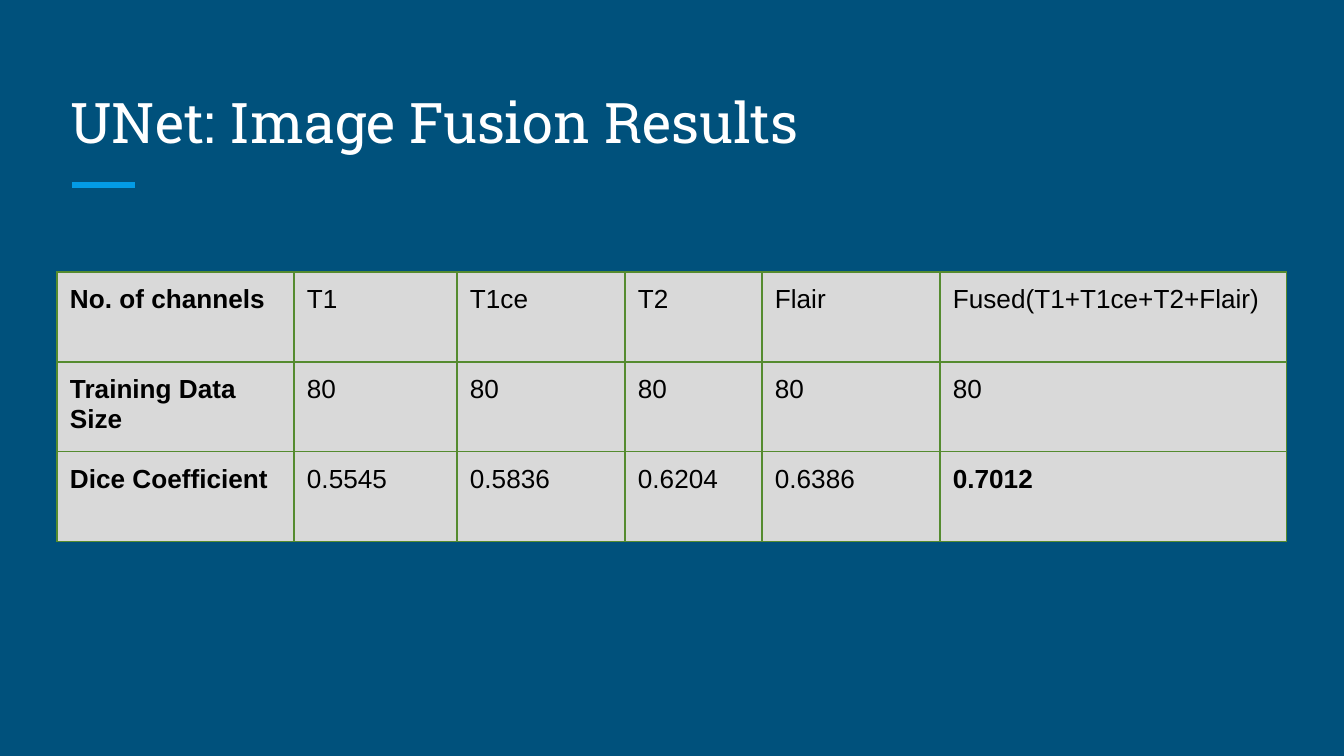
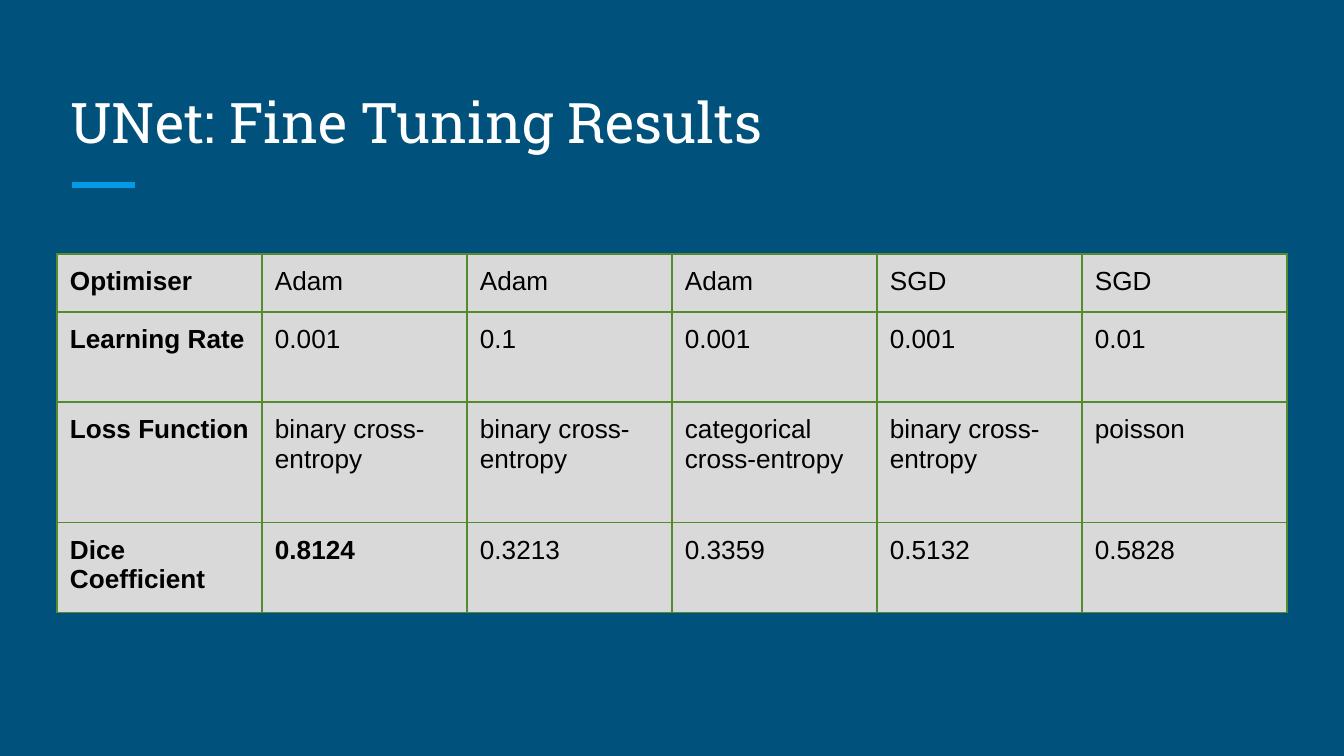
from dataclasses import dataclass

from lxml.etree import SubElement
from pptx import Presentation
from pptx.dml.color import RGBColor
from pptx.enum.shapes import MSO_CONNECTOR
from pptx.enum.text import MSO_ANCHOR, MSO_AUTO_SIZE, PP_ALIGN
from pptx.oxml.ns import qn
from pptx.util import Emu, Pt

EMU_PER_PX = 914400 / 134.4
SLIDE_SIZE = (1344, 756)
TITLE_BOX = (57, 67, 1230, 101)
TABLE_LEFT = 57
INSET = 13


@dataclass(frozen=True)
class Theme:
    background: str = "00517C"
    accent: str = "039BE5"
    title_color: str = "FFFFFF"
    cell_fill: str = "D9D9D9"
    cell_text: str = "000000"
    border: str = "558B2F"
    title_font: str = "Roboto Slab"
    body_font: str = "Arial"
    title_size: float = 30
    body_size: float = 14
    accent_width: float = 3
    border_width: float = 0.75


THEME = Theme()

FUSION = dict(
    title="UNet: Image Fusion Results",
    top=272,
    widths=[237, 163, 168, 137, 178, 347],
    heights=[90] * 3,
    rows=[
        ["No. of channels", "T1", "T1ce", "T2", "Flair", "Fused(T1+T1ce+T2+Flair)"],
        ["Training Data Size"] + ["80"] * 5,
        ["Dice Coefficient", "0.5545", "0.5836", "0.6204", "0.6386", "0.7012"],
    ],
)
TUNING = dict(
    title="UNet: Fine Tuning Results",
    top=254,
    widths=[205] * 6,
    heights=[58, 90, 121, 90],
    rows=[
        ["Optimiser", "Adam", "Adam", "Adam", "SGD", "SGD"],
        ["Learning Rate", "0.001", "0.1", "0.001", "0.001", "0.01"],
        ["Loss Function", "binary cross-entropy", "binary cross-entropy",
         "categorical cross-entropy", "binary cross-entropy", "poisson"],
        ["Dice Coefficient", "0.8124", "0.3213", "0.3359", "0.5132", "0.5828"],
    ],
)


def px(length):
    return Emu(round(length * EMU_PER_PX))


def write(frame, text, *, font, size, color, bold=False):
    paragraph = frame.paragraphs[0]
    paragraph.alignment = PP_ALIGN.LEFT
    run = paragraph.add_run()
    run.text = text
    run.font.name = font
    run.font.size = Pt(size)
    run.font.bold = bold
    run.font.color.rgb = RGBColor.from_string(color)


def add_heading(slide, text, box):
    """Fill the title placeholder and draw the short accent rule below it."""
    left, top, width, height = box
    heading = slide.shapes.title
    heading.left, heading.top, heading.width, heading.height = map(px, box)
    frame = heading.text_frame
    frame.word_wrap = True
    frame.auto_size = MSO_AUTO_SIZE.NONE
    frame.vertical_anchor = MSO_ANCHOR.BOTTOM
    frame.margin_left = frame.margin_right = px(INSET)
    frame.margin_top = frame.margin_bottom = px(INSET)
    write(frame, text, font=THEME.title_font, size=THEME.title_size,
          color=THEME.title_color)

    rule_left, rule_y = left + 15, top + height + 17
    rule = slide.shapes.add_connector(
        MSO_CONNECTOR.STRAIGHT, px(rule_left), px(rule_y),
        px(rule_left + 63), px(rule_y))
    rule.line.color.rgb = RGBColor.from_string(THEME.accent)
    rule.line.width = Pt(THEME.accent_width)
    SubElement(rule._element.spPr, qn("a:effectLst"))


def add_borders(cell):
    properties = cell._tc.get_or_add_tcPr()
    for side in ("a:lnL", "a:lnR", "a:lnT", "a:lnB"):
        border = SubElement(properties, qn(side), w=str(Pt(THEME.border_width)))
        fill = SubElement(border, qn("a:solidFill"))
        SubElement(fill, qn("a:srgbClr"), val=THEME.border)


def add_results(slide, rows, left, top, widths, heights):
    """Draw the results, with row labels and the best score of the last row in bold."""
    table = slide.shapes.add_table(
        len(rows), len(widths), px(left), px(top),
        px(sum(widths)), px(sum(heights))).table
    table.first_row = table.horz_banding = False
    for column, width in zip(table.columns, widths):
        column.width = px(width)
    for row, height in zip(table.rows, heights):
        row.height = px(height)

    best_score = max(rows[-1][1:], key=float)
    for r, values in enumerate(rows):
        for c, value in enumerate(values):
            cell = table.cell(r, c)
            add_borders(cell)
            cell.fill.solid()
            cell.fill.fore_color.rgb = RGBColor.from_string(THEME.cell_fill)
            cell.margin_left = cell.margin_right = px(INSET)
            cell.margin_top = cell.margin_bottom = px(INSET)
            is_best = r == len(rows) - 1 and value == best_score
            write(cell.text_frame, value, font=THEME.body_font,
                  size=THEME.body_size, color=THEME.cell_text,
                  bold=c == 0 or is_best)


def add_results_slide(prs, title, rows, top, widths, heights):
    slide = prs.slides.add_slide(prs.slide_layouts.get_by_name("Title Only"))
    add_heading(slide, title, TITLE_BOX)
    add_results(slide, rows, TABLE_LEFT, top, widths, heights)


def main():
    prs = Presentation()
    prs.slide_width, prs.slide_height = map(px, SLIDE_SIZE)
    background = prs.slide_master.background.fill
    background.solid()
    background.fore_color.rgb = RGBColor.from_string(THEME.background)
    for results in (FUSION, TUNING):
        add_results_slide(prs, **results)
    prs.save("out.pptx")


if __name__ == "__main__":
    main()
